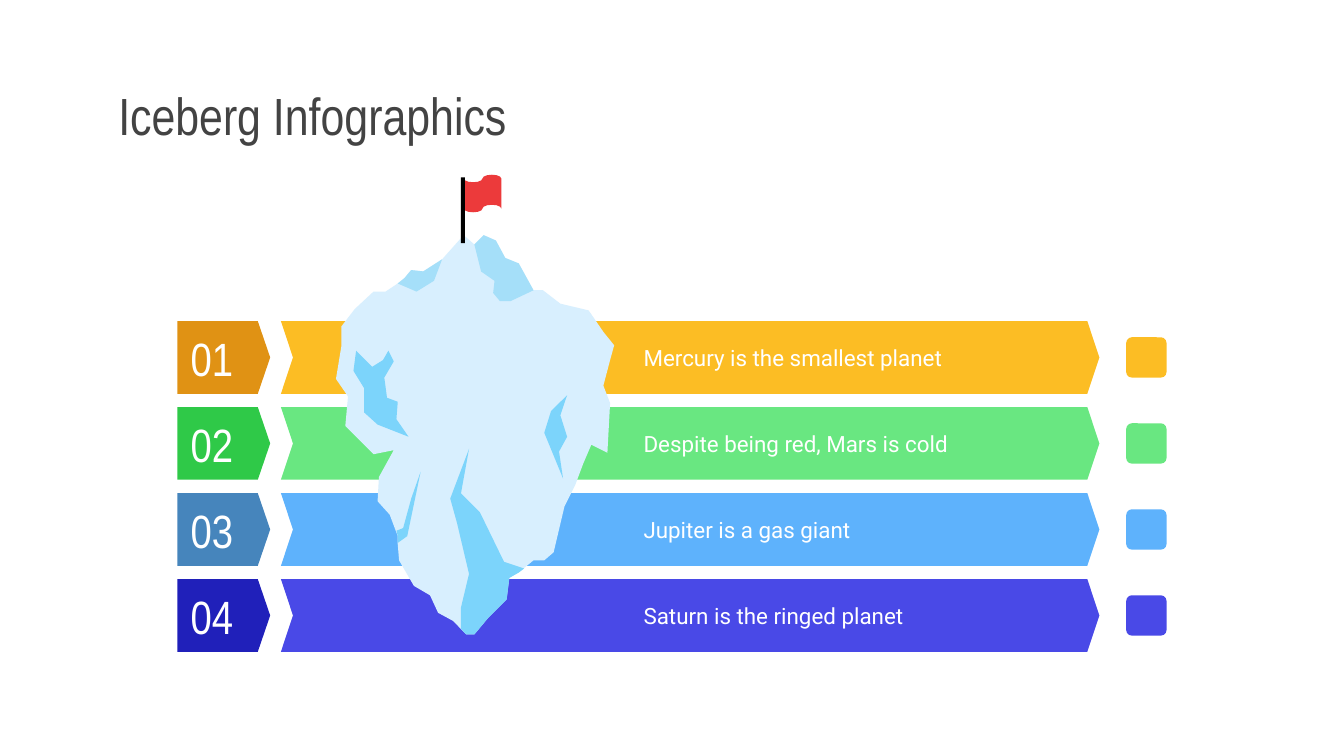
from pptx import Presentation
from pptx.dml.color import RGBColor
from pptx.enum.shapes import MSO_SHAPE
from pptx.enum.text import MSO_ANCHOR, PP_ALIGN
from pptx.util import Inches, Pt

PENTAGON = MSO_SHAPE.PENTAGON
RECTANGLE = MSO_SHAPE.RECTANGLE
ROUNDED = MSO_SHAPE.ROUNDED_RECTANGLE
WAVE = MSO_SHAPE.FLOWCHART_PUNCHED_TAPE
MIDDLE = MSO_ANCHOR.MIDDLE
LEFT = PP_ALIGN.LEFT

HEADING_FONT = "Arial Narrow"
BODY_FONT = "Roboto"
TITLE_COLOR = "434343"
WHITE = "FFFFFF"
ICE, SNOW, CREVICE = "D8EFFE", "A5DFF9", "7CD4FB"

ROW_TOP, ROW_PITCH, ROW_HEIGHT = 2.39, 0.64, 0.54
BAR_LEFT, BAR_RIGHT, BAR_TIP = 2.09, 8.18, 0.09

# Number, statement, tag colour, bar colour
ROWS = [
    ("01", "Mercury is the smallest planet", "E09214", "FCBD24"),
    ("02", "Despite being red, Mars is cold", "2FC948", "69E781"),
    ("03", "Jupiter is a gas giant", "4685BC", "5EB2FC"),
    ("04", "Saturn is the ringed planet", "2020BA", "4949E7"),
]

# Outline of the iceberg, then its facets, in inches on the slide
ICEBERG = [
    (ICE, [(3.45, 1.75), (3.29, 1.93), (3.15, 2.02), (3.06, 2.01), (3.01, 2.07),
           (2.96, 2.11), (2.87, 2.17), (2.78, 2.17), (2.64, 2.3), (2.54, 2.43),
           (2.54, 2.58), (2.5, 2.82), (2.59, 2.95), (2.57, 3.17), (2.78, 3.38),
           (2.93, 3.35), (2.82, 3.55), (2.81, 3.73), (2.9, 3.83), (2.96, 3.99),
           (2.96, 4.05), (2.97, 4.17), (3.08, 4.36), (3.2, 4.43), (3.26, 4.56),
           (3.37, 4.62), (3.47, 4.72), (3.53, 4.72), (3.63, 4.6), (3.77, 4.46),
           (3.79, 4.3), (3.86, 4.26), (3.97, 4.17), (4.05, 4.17), (4.12, 4.11),
           (4.2, 3.77), (4.28, 3.61), (4.34, 3.45), (4.4, 3.31), (4.52, 3.37),
           (4.54, 3), (4.49, 2.87), (4.54, 2.68), (4.57, 2.57), (4.49, 2.47),
           (4.38, 2.31), (4.17, 2.26), (4.04, 2.16), (3.97, 2.16), (3.86, 1.96),
           (3.76, 1.92), (3.69, 1.79), (3.6, 1.75), (3.53, 1.82)]),
    (SNOW, [(3.6, 1.75), (3.53, 1.82), (3.58, 2.02), (3.68, 2.09), (3.67, 2.18),
            (3.72, 2.24), (3.8, 2.24), (3.97, 2.16), (3.86, 1.96), (3.76, 1.92),
            (3.69, 1.79)]),
    (CREVICE, [(2.65, 2.61), (2.63, 2.76), (2.71, 2.89), (2.71, 3.07), (2.81, 3.16),
               (3.04, 3.25), (2.95, 3.12), (2.96, 2.99), (2.88, 2.96), (2.86, 2.81),
               (2.93, 2.69), (2.89, 2.61), (2.85, 2.68), (2.77, 2.73)]),
    (CREVICE, [(4.22, 2.94), (4.1, 3.06), (4.05, 3.22), (4.19, 3.56), (4.16, 3.36),
               (4.22, 3.25), (4.17, 3.09)]),
    (CREVICE, [(3.49, 3.34), (3.35, 3.71), (3.4, 3.89), (3.49, 4.27), (3.43, 4.52),
               (3.43, 4.68), (3.47, 4.72), (3.53, 4.72), (3.63, 4.6), (3.77, 4.46),
               (3.79, 4.3), (3.86, 4.26), (3.9, 4.23), (3.75, 4.18), (3.57, 3.81),
               (3.43, 3.67)]),
    (CREVICE, [(3.13, 3.51), (3.06, 3.71), (3, 3.93), (2.95, 3.95), (2.96, 3.99),
               (2.96, 4.04), (3.03, 3.99)]),
    (SNOW, [(3.29, 1.93), (3.15, 2.02), (3.06, 2.01), (3.01, 2.07), (2.96, 2.11),
            (3.1, 2.17), (3.23, 2.09)]),
]


def rgb(color):
    return RGBColor.from_string(color)


def paint(shape, color):
    shape.shadow.inherit = False
    shape.fill.solid()
    shape.fill.fore_color.rgb = rgb(color)
    shape.line.fill.background()


def write(shape, text, size, font, color):
    frame = shape.text_frame
    frame.word_wrap = True
    frame.vertical_anchor = MIDDLE
    frame.margin_left = frame.margin_right = Inches(0.1)
    frame.margin_top = frame.margin_bottom = Inches(0.1)
    paragraph = frame.paragraphs[0]
    paragraph.alignment = LEFT
    run = paragraph.add_run()
    run.text = text
    run.font.size = Pt(size)
    run.font.name = font
    run.font.color.rgb = rgb(color)


def add_preset(slide, kind, left, top, width, height, color):
    preset = slide.shapes.add_shape(
        kind, Inches(left), Inches(top), Inches(width), Inches(height))
    paint(preset, color)
    return preset


def add_polygon(slide, points, color):
    corners = [(Inches(x), Inches(y)) for x, y in points]
    builder = slide.shapes.build_freeform(*corners[0])
    builder.add_line_segments(corners[1:], close=True)
    paint(builder.convert_to_shape(), color)


def add_title(slide, text):
    title = slide.shapes.title
    title.left, title.top = Inches(0.78), Inches(0.59)
    title.width, title.height = Inches(8.45), Inches(0.53)
    write(title, text, 28, HEADING_FONT, TITLE_COLOR)


def add_row(slide, top, number, statement, tag_color, bar_color):
    # Rounded tile at the right end
    icon = add_preset(slide, ROUNDED, 8.38, top + 0.12, 0.3, 0.3, bar_color)
    icon.adjustments[0] = 0.14

    # Notched bar with its statement
    middle, bottom = top + ROW_HEIGHT / 2, top + ROW_HEIGHT
    shoulder = BAR_RIGHT - BAR_TIP
    add_polygon(slide, [(BAR_LEFT, top), (BAR_LEFT + BAR_TIP, middle),
                        (BAR_LEFT, bottom), (shoulder, bottom),
                        (BAR_RIGHT, middle), (shoulder, top)], bar_color)
    label = slide.shapes.add_textbox(
        Inches(4.69), Inches(top + 0.07), Inches(3.07), Inches(0.4))
    write(label, statement, 12, BODY_FONT, WHITE)

    # Number tag
    tag = add_preset(slide, PENTAGON, 1.32, top, 0.69, ROW_HEIGHT, tag_color)
    tag.adjustments[0] = 0.17
    write(tag, number, 25, HEADING_FONT, WHITE)


def add_iceberg(slide):
    for color, points in ICEBERG:
        add_polygon(slide, points, color)
    # Flag and pole
    add_preset(slide, WAVE, 3.45, 1.3, 0.28, 0.28, "EC3A3B")
    add_preset(slide, RECTANGLE, 3.43, 1.32, 0.03, 0.49, "000000")


def main():
    deck = Presentation()
    # Widescreen, 16:9
    deck.slide_width = Inches(10)
    deck.slide_height = Inches(10 * 9 / 16)
    slide = deck.slides.add_slide(deck.slide_layouts[5])
    add_title(slide, "Iceberg Infographics")
    for index, row in enumerate(ROWS):
        add_row(slide, ROW_TOP + index * ROW_PITCH, *row)
    add_iceberg(slide)
    deck.save("out.pptx")


if __name__ == "__main__":
    main()
